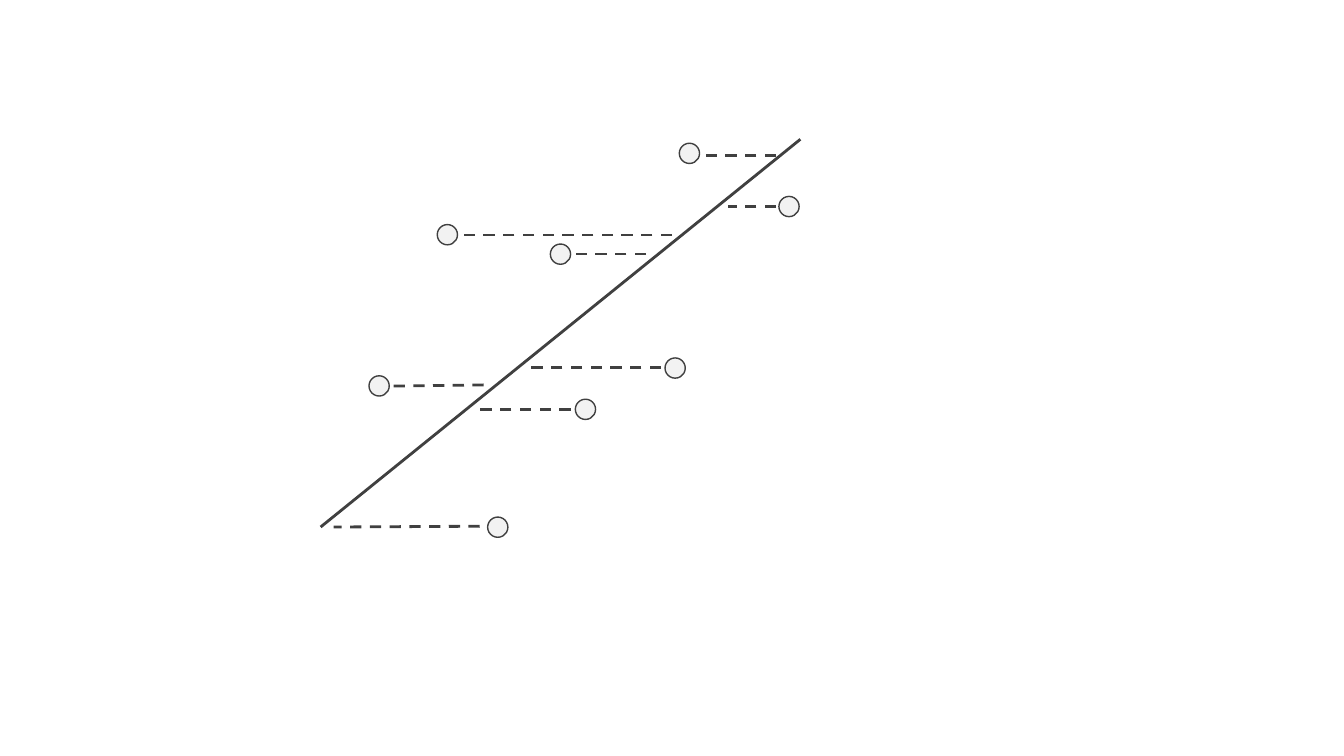
"""Build a slide of a fitted line with dashed horizontal residuals to eight points."""
from dataclasses import dataclass

from lxml import etree
from pptx import Presentation
from pptx.dml.color import RGBColor
from pptx.enum.dml import MSO_LINE
from pptx.enum.shapes import MSO_CONNECTOR, MSO_SHAPE
from pptx.oxml.ns import qn
from pptx.util import Cm, Pt

STRAIGHT = MSO_CONNECTOR.STRAIGHT
OVAL = MSO_SHAPE.OVAL
DASH = MSO_LINE.DASH


@dataclass(frozen=True)
class Theme:
    ink: RGBColor = RGBColor(0x40, 0x40, 0x40)
    point: RGBColor = RGBColor(0xF2, 0xF2, 0xF2)
    line_width: Pt = Pt(2)
    outline_width: Pt = Pt(1)


theme = Theme()
DIAMETER = 0.51
FIT_LINE = (8.08, 13.28, 20.17, 3.51)
POINTS = [
    (11.02, 5.66), (19.63, 4.95), (17.12, 3.61), (14.5, 10.06),
    (16.76, 9.02), (13.87, 6.15), (12.29, 13.03), (9.3, 9.47),
]
RESIDUALS = [
    (12.19, 9.7, 9.8, 9.73), (12.09, 13.26, 8.41, 13.28),
    (14.38, 10.31, 12.09, 10.31), (16.66, 9.27, 13.23, 9.27),
    (16.94, 5.92, 11.61, 5.92), (16.28, 6.4, 14.38, 6.4),
    (19.56, 5.21, 18.34, 5.21), (19.56, 3.91, 17.73, 3.91),
]

prs = Presentation()
prs.slide_width, prs.slide_height = Cm(33.87), Cm(19.05)
s = prs.slides.add_slide(prs.slide_layouts[6])


def add_line(ends):
    line = s.shapes.add_connector(STRAIGHT, *map(Cm, ends))
    line.line.color.rgb = theme.ink
    line.line.width = theme.line_width
    etree.SubElement(line._element.spPr, qn("a:effectLst"))
    return line


add_line(FIT_LINE)

for left, top in POINTS:
    sp = s.shapes.add_shape(OVAL, Cm(left), Cm(top), Cm(DIAMETER), Cm(DIAMETER))
    sp.shadow.inherit = False
    sp.fill.solid()
    sp.fill.fore_color.rgb = theme.point
    sp.line.color.rgb = theme.ink
    sp.line.width = theme.outline_width

for ends in RESIDUALS:
    add_line(ends).line.dash_style = DASH

prs.save("out.pptx")
